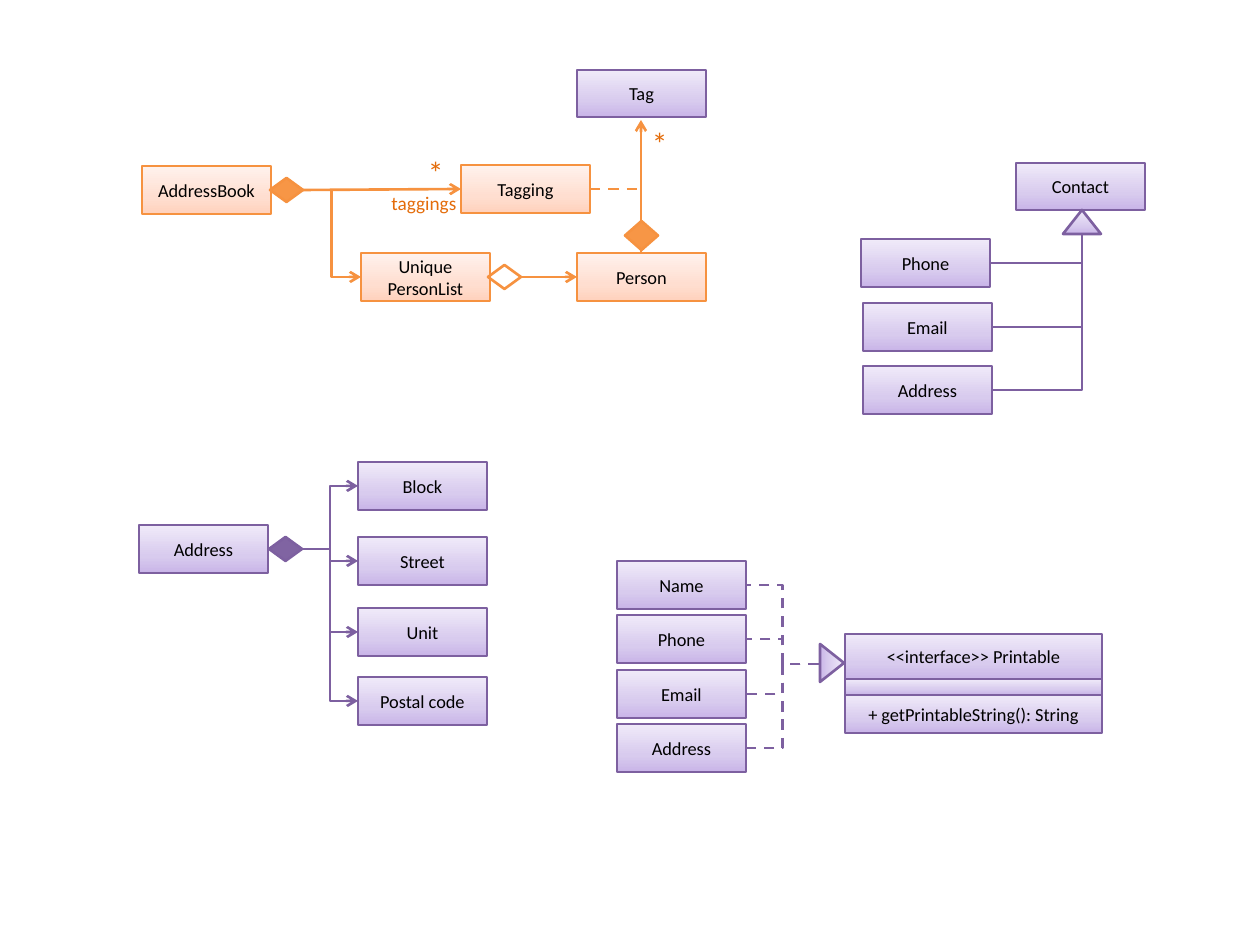
from copy import deepcopy

from lxml.etree import SubElement
from pptx import Presentation
from pptx.dml.color import RGBColor
from pptx.enum.dml import MSO_LINE
from pptx.enum.shapes import MSO_CONNECTOR, MSO_SHAPE
from pptx.enum.text import MSO_ANCHOR, PP_ALIGN
from pptx.oxml.ns import qn
from pptx.util import Emu, Pt

COLORS = {
    "purple line": "7D60A0", "purple solid": "8064A2",
    "purple bottom": "C9B5E8", "purple middle": "D8CBEE", "purple top": "F0EAF9",
    "orange line": "F69240", "orange solid": "F79646",
    "orange bottom": "FFD2BD", "orange middle": "FFDED0", "orange top": "FFF2ED",
    "text": "000000", "label": "E46C0A",
}
GRADIENT = {"bottom": 0, "middle": 0.35, "top": 1}
CLASS_FRAME = {"vertical_anchor": MSO_ANCHOR.MIDDLE, "word_wrap": True}
CLASS_FONT = {"name": "Calibri", "size": Pt(10.5)}
CLASS_W, CLASS_H = 129, 48


def px(length):
    """Turn pixels of a 126 per inch grid into EMU."""
    return Emu(round(length * 914400 / 126))


def rgb(name):
    """Look up a named colour."""
    return RGBColor.from_string(COLORS[name])


def apply(target, values):
    """Set every attribute given in a dict of format values."""
    for name, value in values.items():
        setattr(target, name, value)


def write(frame, text, frame_values, font_values, color, align=None):
    """Put one formatted paragraph into a text frame."""
    apply(frame, frame_values)
    frame.text = text
    paragraph = frame.paragraphs[0]
    paragraph.alignment = align
    apply(paragraph.font, font_values)
    paragraph.font.color.rgb = rgb(color)


def outlined(slide, kind, left, top, width, height, hue):
    """Add a shape with the outline of its hue and no shadow."""
    shape = slide.shapes.add_shape(kind, px(left), px(top), px(width), px(height))
    shape.shadow.inherit = False
    shape.line.color.rgb = rgb(f"{hue} line")
    shape.line.width = Pt(1.5)
    return shape


def shade(shape, hue):
    """Fill a shape with the three-stop vertical gradient of its hue."""
    shape.fill.gradient()
    shape.fill.gradient_angle = 90
    stop_list = shape.element.spPr.find(".//" + qn("a:gsLst"))
    stop_list.append(deepcopy(stop_list[0]))
    for stop, (level, position) in zip(shape.fill.gradient_stops, GRADIENT.items()):
        stop.color.rgb = rgb(f"{hue} {level}")
        stop.position = position


def uml_class(slide, text, left, top, hue="purple", width=CLASS_W, height=CLASS_H):
    """Add a class box, or one compartment of it."""
    box = outlined(slide, MSO_SHAPE.RECTANGLE, left, top, width, height, hue)
    shade(box, hue)
    if text:
        write(box.text_frame, text, CLASS_FRAME, CLASS_FONT, "text", PP_ALIGN.CENTER)


def diamond(slide, left, top, hue, height=24, solid=True):
    """Add a composition (solid) or aggregation (hollow) diamond."""
    shape = outlined(slide, MSO_SHAPE.FLOWCHART_DECISION, left, top, 33, height, hue)
    if solid:
        shape.fill.solid()
        shape.fill.fore_color.rgb = rgb(f"{hue} solid")
    else:
        shape.fill.background()


def generalization(slide, left, top, rotation=0):
    """Add the triangle that marks a parent type."""
    triangle = outlined(slide, MSO_SHAPE.ISOSCELES_TRIANGLE, left, top, 38, 24, "purple")
    shade(triangle, "purple")
    triangle.rotation = rotation


def link(slide, start, end, hue, kind=MSO_CONNECTOR.STRAIGHT,
         arrow=False, dashed=False, corner=False):
    """Connect two points; corner gives an elbow with a single bend."""
    line = slide.shapes.add_connector(kind, *map(px, (*start, *end)))
    line.line.color.rgb = rgb(f"{hue} line")
    line.line.width = Pt(1.5)
    if dashed:
        line.line.dash_style = MSO_LINE.DASH
    properties = line._element.spPr
    if arrow:
        SubElement(properties.find(qn("a:ln")), qn("a:tailEnd"), type="arrow")
    if corner:
        properties.find(qn("a:prstGeom")).set("prst", "bentConnector2")
    SubElement(properties, qn("a:effectLst"))


def label(slide, text, left, top, width, height, size, frame_values):
    """Add a multiplicity or role label."""
    box = slide.shapes.add_textbox(px(left), px(top), px(width), px(height))
    write(box.text_frame, text, frame_values,
          {"name": "Calibri", "size": Pt(size)}, "label")


def address_parts(slide):
    """Draw Address composed of its four parts."""
    uml_class(slide, "Address", 139, 525)
    parts = {"Block": 462, "Street": 537, "Unit": 608, "Postal code": 677}
    for part, top in parts.items():
        uml_class(slide, part, 358, top)
        link(slide, (302, 549), (358, top + CLASS_H // 2), "purple",
             MSO_CONNECTOR.ELBOW, arrow=True)
    diamond(slide, 269, 537, "purple")


def contact_types(slide):
    """Draw Contact with its three subclasses."""
    uml_class(slide, "Contact", 1016, 163, height=47)
    generalization(slide, 1063, 210)
    for subclass, left, top in (("Phone", 861, 239), ("Email", 863, 303),
                                ("Address", 863, 366)):
        uml_class(slide, subclass, left, top)
        link(slide, (left + CLASS_W, top + CLASS_H // 2), (1082, 234), "purple",
             MSO_CONNECTOR.ELBOW, corner=True)


def printable_types(slide):
    """Draw the Printable interface and the classes that realize it."""
    for text, top, height in (("<<interface>> Printable", 634, 45), ("", 679, 16),
                              ("+ getPrintableString(): String", 695, 38)):
        uml_class(slide, text, 845, top, width=257, height=height)
    generalization(slide, 813, 651, rotation=90)
    for row, realizer in enumerate(("Name", "Phone", "Email", "Address")):
        top = 561 + row * 109 // 2
        uml_class(slide, realizer, 617, top)
        link(slide, (819, 664), (617 + CLASS_W, top + CLASS_H // 2), "purple",
             MSO_CONNECTOR.ELBOW, dashed=True)


def address_book(slide):
    """Draw AddressBook with its persons and taggings."""
    for text, left, top in (("AddressBook", 142, 166), ("Unique\vPersonList", 361, 253),
                            ("Person", 577, 253), ("Tagging", 461, 165)):
        uml_class(slide, text, left, top, "orange")
    uml_class(slide, "Tag", 577, 70, height=47)
    link(slide, (302, 190), (361, 277), "orange", MSO_CONNECTOR.ELBOW, arrow=True)
    for start, end in (((520, 277), (577, 277)), ((641, 253), (641, 120)),
                       ((302, 190), (461, 189))):
        link(slide, start, end, "orange", arrow=True)
    link(slide, (590, 189), (641, 189), "orange", dashed=True)
    diamond(slide, 488, 265, "orange", solid=False)
    diamond(slide, 270, 178, "orange")
    diamond(slide, 625, 221, "orange", height=29)
    tight = {"margin_left": 0, "margin_right": 0, "word_wrap": False}
    for left, top in ((428, 147), (652, 118)):
        label(slide, "*", left, top, 13, 51, 18, tight)
    label(slide, "taggings", 379, 185, 107, 36, 11, {"word_wrap": True})


def main():
    """Build the slide and save it."""
    deck = Presentation()
    deck.slide_width, deck.slide_height = px(1260), px(945)
    slide = deck.slides.add_slide(deck.slide_layouts[6])
    for draw in (address_parts, contact_types, printable_types, address_book):
        draw(slide)
    deck.save("out.pptx")


main()
